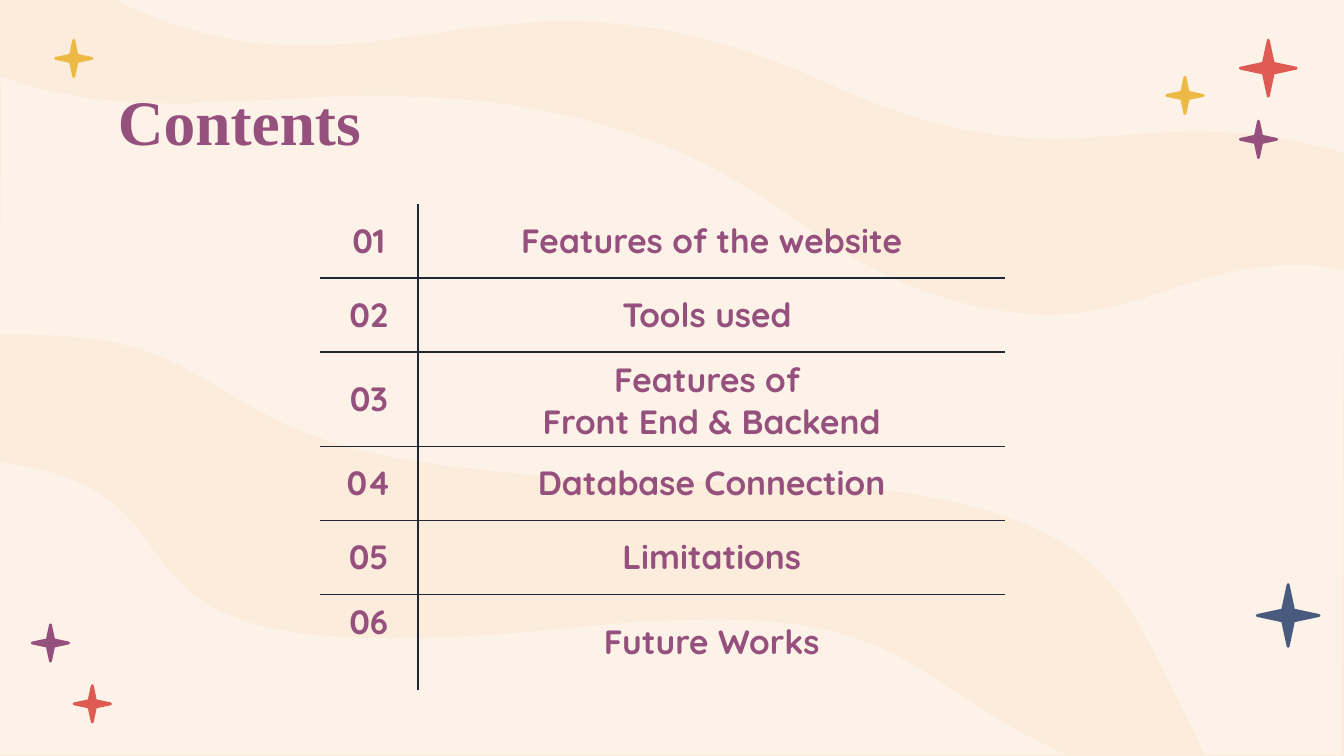
import lxml.etree
import pptx
import pptx.dml.color
import pptx.enum.shapes
import pptx.enum.text
import pptx.oxml.ns
import pptx.util

Cm = pptx.util.Cm
Pt = pptx.util.Pt
qn = pptx.oxml.ns.qn

BACKGROUND = "FBECDB"
PURPLE, NAVY, YELLOW, RED = "96507E", "485A7E", "EDB945", "DD5B52"
RULE_COLOR = "202735"
NO_TABLE_STYLE = "{2D5ABB26-0587-4C30-8999-92F81FD0307C}"
GRID = Cm(0.0254)

WAVES = [
    [(0, 344), (167, 366, 57, 475, 291, 475), (325, 475, 366, 473, 417, 468),
     (463, 463, 500, 461, 530, 461), (679, 461, 681, 511, 794, 562), (0, 562)],
    [(1000, 0), (1000, 114), (956, 101, 921, 98, 889, 98),
     (852, 98, 820, 103, 784, 103), (739, 103, 689, 95, 618, 63),
     (540, 27, 477, 16, 422, 16), (350, 16, 291, 34, 227, 34),
     (184, 34, 139, 26, 86, 0)],
    [(1, 57), (40, 72, 88, 77, 135, 77), (141, 77, 146, 77, 152, 76),
     (198, 75, 243, 71, 289, 71), (295, 71, 302, 72, 309, 72),
     (390, 74, 470, 93, 530, 125), (573, 147, 605, 176, 648, 199),
     (684, 218, 732, 234, 780, 234), (790, 234, 799, 233, 808, 232),
     (842, 227, 870, 215, 901, 206), (920, 201, 942, 197, 963, 197),
     (976, 197, 989, 198, 1000, 202), (998, 562), (897, 562),
     (884, 536, 871, 510, 858, 484), (843, 456, 828, 428, 794, 406),
     (748, 376, 675, 364, 605, 360), (535, 356, 464, 360, 394, 353),
     (306, 345, 247, 337, 184, 301), (132, 271, 112, 249, 11, 249),
     (7, 249, 4, 249, 0, 249)],
]

STARS = [
    (0.61, 11.81, 0.69, PURPLE),
    (23.76, 11.05, 1.17, NAVY),
    (1.05, 0.76, 0.69, YELLOW),
    (1.4, 12.96, 0.69, RED),
    (23.44, 0.76, 1.06, RED),
    (22.05, 1.46, 0.69, YELLOW),
    (23.44, 2.29, 0.69, PURPLE),
]

TOPICS = [
    ("Features of the website",),
    ("Tools used ",),
    ("Features of ", "Front End & Backend"),
    ("Database Connection",),
    ("Limitations",),
    ("Future Works",),
]


def color(value):
    return pptx.dml.color.RGBColor.from_string(value)


def apply(target, values):
    for name, value in values.items():
        setattr(target, name, value)


class ContentsSlide:
    title_font = {"name": "Times New Roman", "size": Pt(34), "bold": True}
    table_font = {"name": "Quicksand", "size": Pt(18), "bold": True}

    def __init__(self, presentation):
        self.slide = presentation.slides.add_slide(presentation.slide_layouts[6])
        fill = self.slide.background.fill
        fill.solid()
        fill.fore_color.rgb = color(BACKGROUND)

    def paint(self, shape, fill_color):
        shape.shadow.inherit = False
        shape.fill.solid()
        shape.fill.fore_color.rgb = color(fill_color)

    def wave(self, segments):
        anchors = [segment[-2:] for segment in segments]
        left = min(x for x, y in anchors)
        top = min(y for x, y in anchors)
        builder = self.slide.shapes.build_freeform(*anchors[0], scale=GRID)
        builder.add_line_segments(anchors[1:], close=True)
        shape = builder.convert_to_shape()
        lines = list(shape._element.iter(qn("a:lnTo")))
        for line, segment in zip(lines, segments[1:]):
            if len(segment) == 6:
                curve = lxml.etree.Element(qn("a:cubicBezTo"))
                for x, y in zip(segment[::2], segment[1::2]):
                    lxml.etree.SubElement(curve, qn("a:pt"), x=str(x - left), y=str(y - top))
                line.getparent().replace(line, curve)
        self.paint(shape, "FFFFFF")
        shape.line.fill.background()
        tint = shape._element.spPr.find(qn("a:solidFill"))[0]
        lxml.etree.SubElement(tint, qn("a:alpha"), val="35000")

    def star(self, left, top, size, star_color):
        shape = self.slide.shapes.add_shape(
            pptx.enum.shapes.MSO_SHAPE.STAR_4_POINT, Cm(left), Cm(top), Cm(size), Cm(size))
        self.paint(shape, star_color)
        shape.adjustments[0] = 0.125
        shape.line.width = Pt(1.5)
        shape.line.color.rgb = color(star_color)
        lxml.etree.SubElement(shape.line._get_or_add_ln(), qn("a:round"))

    def title(self, text):
        shape = self.slide.shapes.add_textbox(Cm(1.98), Cm(1.3), Cm(21.44), Cm(1.73))
        apply(shape.text_frame, {
            "word_wrap": True, "margin_left": Cm(0.25), "margin_right": Cm(0.25),
            "margin_top": Cm(0.25), "margin_bottom": Cm(0.25)})
        run = shape.text_frame.paragraphs[0].add_run()
        run.text = text
        apply(run.font, self.title_font)
        run.font.color.rgb = color(PURPLE)

    def line_xml(self, parent, tag, width, line_color):
        line = lxml.etree.SubElement(parent, qn(tag), w=str(Pt(width)))
        fill = lxml.etree.SubElement(line, qn("a:solidFill"))
        lxml.etree.SubElement(fill, qn("a:srgbClr"), val=line_color)
        return line

    def cell(self, cell, lines, borders):
        cell.vertical_anchor = pptx.enum.text.MSO_ANCHOR.MIDDLE
        properties = cell._tc.get_or_add_tcPr()
        for border in borders:
            self.line_xml(properties, border, 1, RULE_COLOR)
        cell.fill.background()
        cell.text = "\n".join(lines)
        for paragraph in cell.text_frame.paragraphs:
            paragraph.alignment = pptx.enum.text.PP_ALIGN.CENTER
            font = paragraph.runs[0].font
            apply(font, self.table_font)
            font.color.rgb = color(PURPLE)
            run_properties = font._element
            run_properties.insert(0, self.line_xml(run_properties, "a:ln", 0.75, PURPLE))

    def contents_table(self, topics):
        frame = self.slide.shapes.add_table(
            len(topics), 2, Cm(6.04), Cm(3.86), Cm(12.95), Cm(9.12))
        table = frame.table
        apply(table, {"first_row": False, "horz_banding": False})
        table._tbl.tblPr.find(qn("a:tableStyleId")).text = NO_TABLE_STYLE
        for column, width in zip(table.columns, (1.86, 11.1)):
            column.width = Cm(width)
        last = len(topics) - 1
        for index, lines in enumerate(topics):
            table.rows[index].height = Cm(1.4)
            rules = ["a:lnT"] * (index > 0) + ["a:lnB"] * (index < last)
            self.cell(table.cell(index, 0), [f"{index + 1:02}"], ["a:lnR"] + rules)
            self.cell(table.cell(index, 1), lines, ["a:lnL"] + rules)
        table.cell(last, 0).margin_bottom = Cm(0.92)
        frame.height = Cm(9.12)


def main():
    presentation = pptx.Presentation()
    apply(presentation, {"slide_width": Cm(25.4), "slide_height": Cm(14.29)})
    contents = ContentsSlide(presentation)
    for segments in WAVES:
        contents.wave(segments)
    for star in STARS:
        contents.star(*star)
    contents.title("Contents")
    contents.contents_table(TOPICS)
    presentation.save("out.pptx")


if __name__ == "__main__":
    main()
